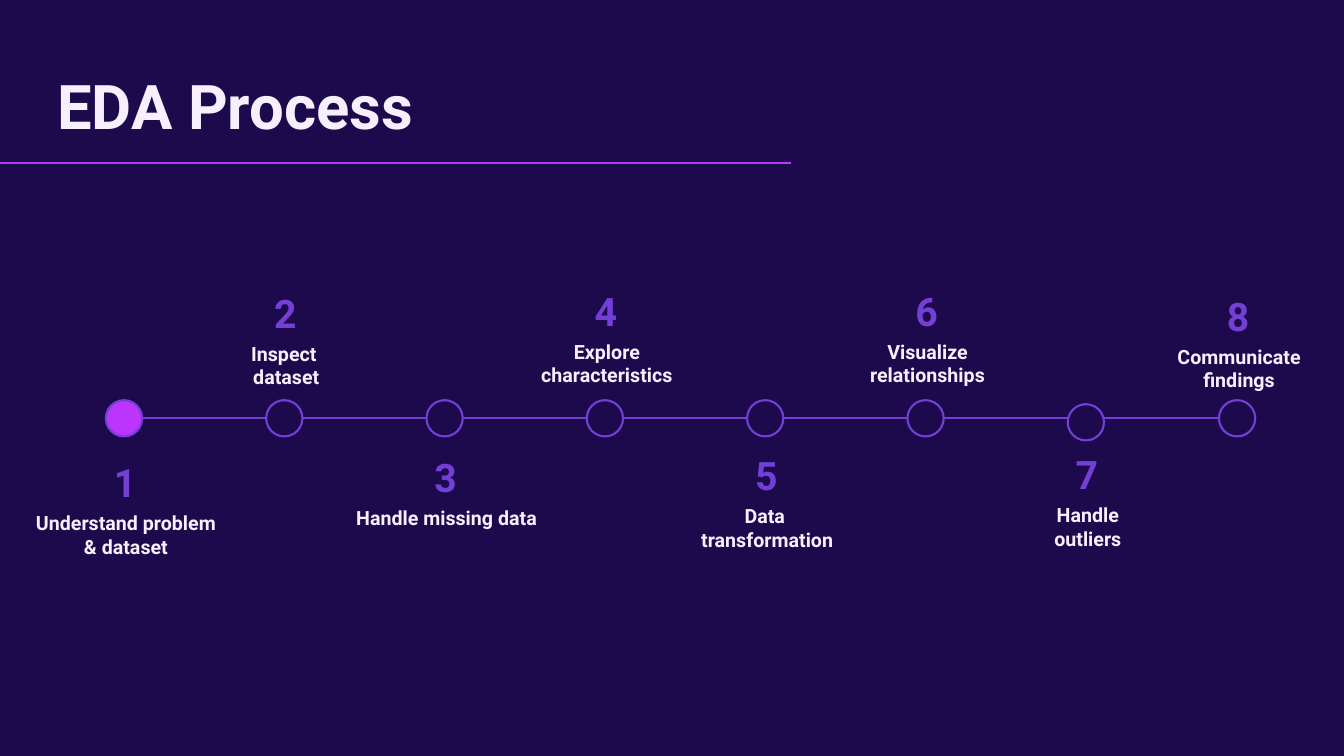
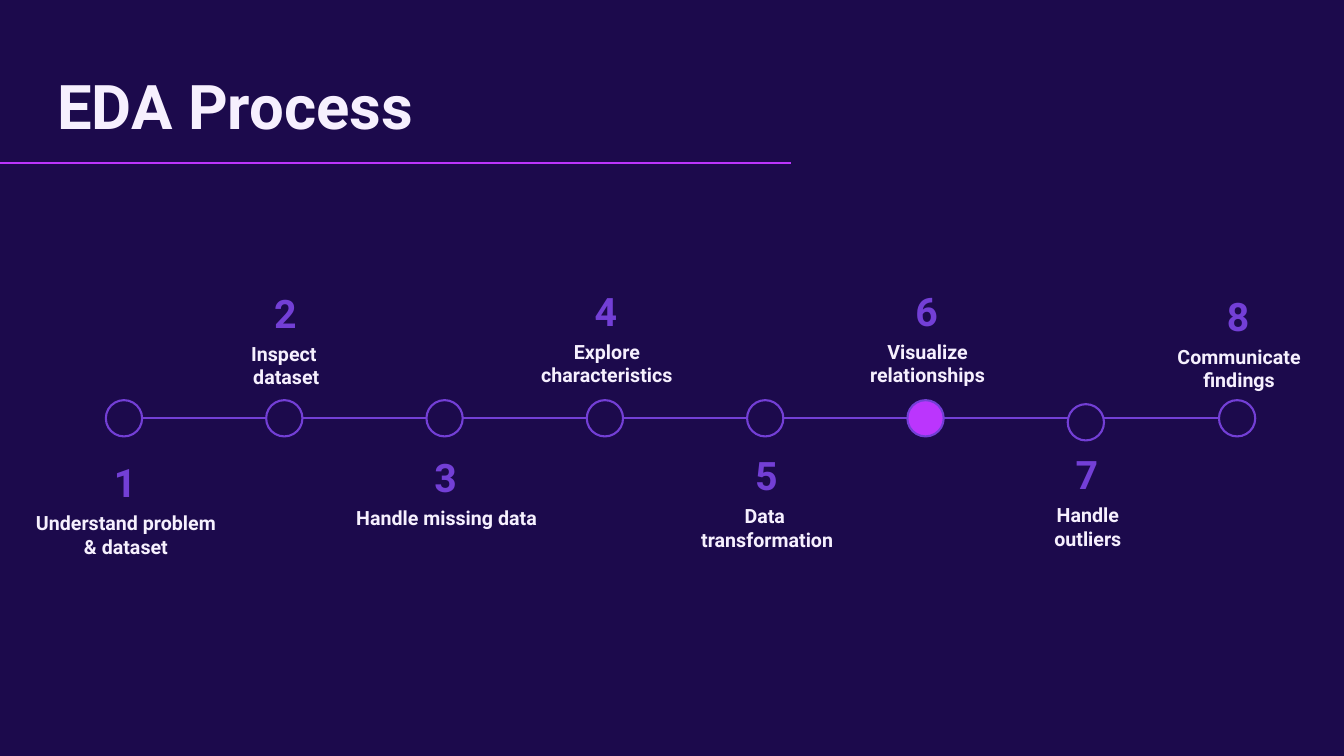
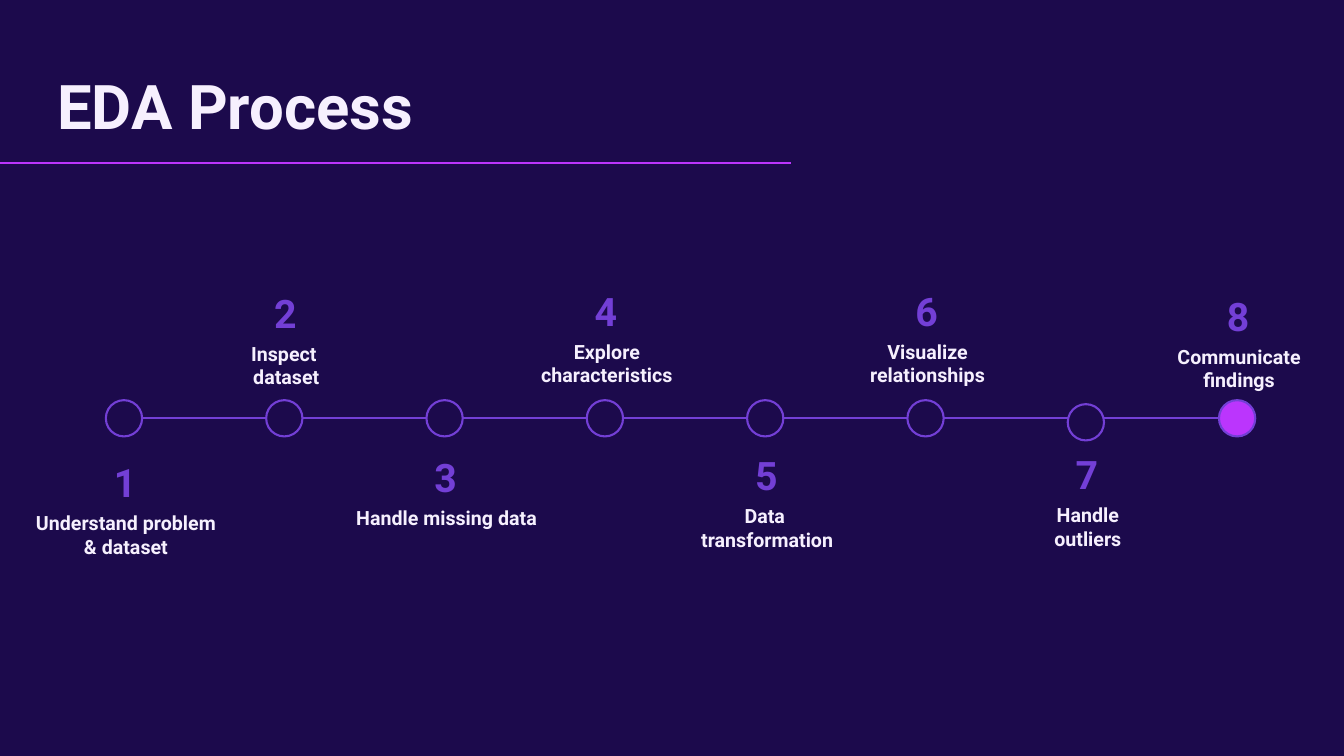
"""Build three timeline slides that mark steps of the EDA process."""
from lxml import etree
from pptx import Presentation
from pptx import util as u
from pptx.dml.color import RGBColor
from pptx.enum import shapes, text
from pptx.oxml.ns import qn

NIGHT = RGBColor(0x1C, 0x0A, 0x4C)
PINK = RGBColor(0xBB, 0x35, 0xFD)
VIOLET = RGBColor(0x73, 0x3F, 0xD6)
PALE = RGBColor(0xF6, 0xF0, 0xFE)

TITLE = {"size": u.Pt(44), "bold": True, "name": "Roboto"}
COUNT = {**TITLE, "size": u.Pt(28)}
LABEL = {**TITLE, "size": u.Pt(14)}

LEFT, STEP, LAST = 1.05, 1.59, 12.09
DOT, MID = 0.36, 4.15
STAGES = [
    ("Understand problem & dataset", 4.5),
    ("Inspect \ndataset", 2.82),
    ("Handle missing data", 4.45),
    ("Explore characteristics", 2.8),
    ("Data \ntransformation", 4.43),
    ("Visualize relationships", 2.8),
    ("Handle\noutliers", 4.42),
    ("Communicate findings", 2.85),
]


class Deck:
    """Hold the style and the current slide."""

    def __init__(self):
        """Open an empty wide deck."""
        self.prs = Presentation()
        self.prs.slide_width = u.Inches(13.33)
        self.prs.slide_height = u.Inches(7.5)

    def start(self, title):
        """Add a slide with its title and rule."""
        self.slide = self.prs.slides.add_slide(self.prs.slide_layouts[6])
        fill = self.slide.background.fill
        fill.solid()
        fill.fore_color.rgb = NIGHT
        self.line(0, 7.85, 1.62, PINK)
        self.text(title, (0.47, 0.36, 11.5, 1.45), TITLE, PALE,
                  {"line_spacing": 0.9}, text.MSO_ANCHOR.MIDDLE)

    def line(self, left, right, y, color):
        """Draw a level line."""
        line = self.slide.shapes.add_connector(
            shapes.MSO_CONNECTOR.STRAIGHT,
            *map(u.Inches, (left, y, right, y)))
        line.line.color.rgb = color
        line.line.width = u.Pt(1.5)
        etree.SubElement(line._element.spPr, qn("a:effectLst"))

    def text(self, words, box, font, color, form, anchor=text.MSO_ANCHOR.TOP):
        """Write text, one paragraph for each line."""
        frame = self.slide.shapes.add_textbox(*map(u.Inches, box)).text_frame
        frame.word_wrap = True
        frame.vertical_anchor = anchor
        frame.text = words
        for para in frame.paragraphs:
            for key, value in form.items():
                setattr(para, key, value)
            for key, value in font.items():
                setattr(para.font, key, value)
            para.font.color.rgb = color

    def dot(self, x, y, color):
        """Draw a round mark."""
        dot = self.slide.shapes.add_shape(
            shapes.MSO_SHAPE.OVAL, *map(u.Inches, (x, y, DOT, DOT)))
        dot.shadow.inherit = False
        dot.fill.solid()
        dot.fill.fore_color.rgb = color
        dot.line.color.rgb = VIOLET
        dot.line.width = u.Pt(1.5)

    def stage(self, num, words, top, active):
        """Draw one numbered stage."""
        x = LAST if num == len(STAGES) else LEFT + STEP * (num - 1)
        drop = 0.04 if num == 7 else 0
        self.dot(x, MID - DOT / 2 + drop, PINK if active else NIGHT)
        center = {"alignment": text.PP_ALIGN.CENTER}
        left = x - 0.86
        self.text(str(num), (left, top, 2.1, 0.57), COUNT, VIOLET, center)
        self.text(words, (left + 0.01, top + 0.52, 2.1, 0.57),
                  LABEL, PALE, center)


def main():
    """Build and save the deck."""
    deck = Deck()
    for active in (1, 6, 8):
        deck.start("EDA Process")
        deck.line(LEFT, 12.28, MID, VIOLET)
        for num, (words, top) in enumerate(STAGES, 1):
            deck.stage(num, words, top, num == active)
    deck.prs.save("out.pptx")


if __name__ == "__main__":
    main()
